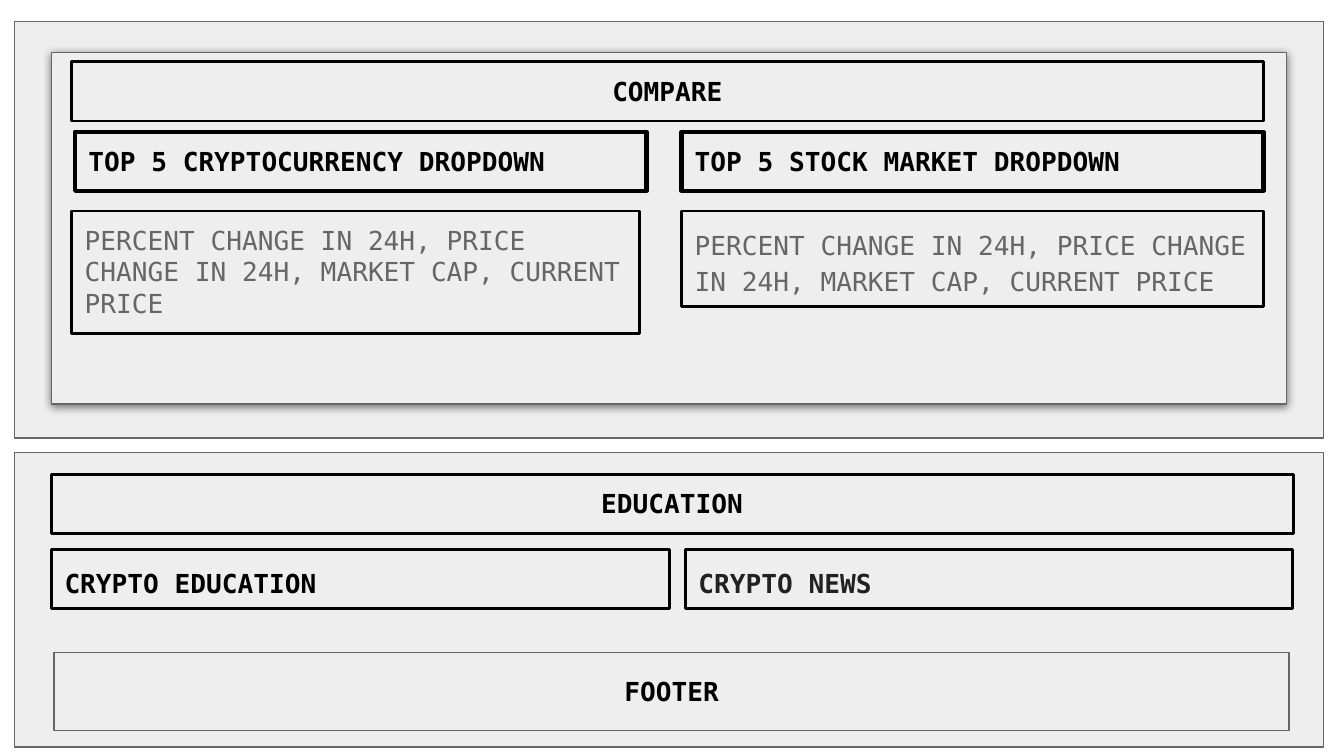
from typing import NamedTuple, Optional

from lxml import etree
from pptx import Presentation
from pptx import util as u
from pptx.dml.color import RGBColor
from pptx.enum import shapes, text
from pptx.oxml.ns import qn

BLACK = RGBColor(0x00, 0x00, 0x00)
DARK = RGBColor(0x21, 0x21, 0x21)
GREY = RGBColor(0x66, 0x66, 0x66)
PALE = RGBColor(0xEE, 0xEE, 0xEE)
FONT = "DejaVu Sans Mono"
ROW = 1.12  # height of a one-line box, cm
DETAIL = "PERCENT CHANGE IN 24H, PRICE CHANGE IN 24H, MARKET CAP, CURRENT PRICE"


class Area(NamedTuple):
    left: float
    top: float
    width: float
    height: float = ROW


class Label(NamedTuple):
    area: Area
    words: str
    line: float = 1.5
    color: RGBColor = BLACK
    bold: bool = True
    center: bool = False
    loose: bool = False


PANELS = [Area(0.28, 0.41, 24.74, 7.87), Area(0.28, 8.56, 24.74, 5.56)]
CARD = Area(0.97, 0.99, 23.34, 6.65)
FOOTER = Area(1.02, 12.34, 23.34, 1.47)

LEARN = [
    Label(Area(0.97, 10.39, 11.68), "CRYPTO EDUCATION", loose=True),
    Label(Area(0.97, 8.97, 23.47), "EDUCATION", center=True),
    Label(Area(12.95, 10.39, 11.48), "CRYPTO NEWS", color=DARK, loose=True),
]
COMPARE = [
    Label(Area(1.35, 1.17, 22.53), "COMPARE", center=True),
    Label(Area(1.42, 2.49, 10.8), "TOP 5 CRYPTOCURRENCY DROPDOWN", line=2.25),
    Label(Area(12.88, 2.49, 11), "TOP 5 STOCK MARKET DROPDOWN", line=2.25),
    Label(Area(1.35, 3.99, 10.74, 2.31), DETAIL, color=GREY, bold=False),
    Label(Area(12.88, 3.99, 11, 1.8), DETAIL, color=GREY, bold=False, loose=True),
]
CAPTION = Label(Area(9.19, 12.52, 7.01), "FOOTER", center=True)


def add_box(slide, area: Area, fill: Optional[RGBColor], line: RGBColor, width: float):
    box = slide.shapes.add_shape(shapes.MSO_SHAPE.RECTANGLE, *map(u.Cm, area))
    box.shadow.inherit = False
    if fill is None:
        box.fill.background()
    else:
        box.fill.solid()
        box.fill.fore_color.rgb = fill
    box.line.color.rgb = line
    box.line.width = u.Pt(width)
    return box


def add_shade(box) -> None:
    """Give the box a soft shadow straight below it."""
    effects = box.element.spPr.find(qn("a:effectLst"))
    shade = etree.SubElement(
        effects, qn("a:outerShdw"), blurRad=str(u.Pt(4.5)), dist=str(u.Pt(1.5)),
        dir="5400000", algn="bl", rotWithShape="0")
    color = etree.SubElement(shade, qn("a:srgbClr"), val=str(BLACK))
    etree.SubElement(color, qn("a:alpha"), val="53000")


def set_text(box, label: Label) -> None:
    frame = box.text_frame
    frame.text = label.words
    frame.word_wrap = True
    frame.auto_size = text.MSO_AUTO_SIZE.SHAPE_TO_FIT_TEXT
    frame.vertical_anchor = text.MSO_ANCHOR.TOP
    frame.margin_left = frame.margin_right = u.Cm(0.25)
    frame.margin_top = frame.margin_bottom = u.Cm(0.25)
    para = frame.paragraphs[0]
    para.alignment = text.PP_ALIGN.CENTER if label.center else text.PP_ALIGN.LEFT
    if label.loose:
        para.line_spacing = 1.15
        para.space_after = u.Pt(12)
    font = para.runs[0].font
    font.name = FONT
    font.size = u.Pt(14)
    font.bold = label.bold
    font.color.rgb = label.color


def add_labels(slide, labels: list[Label]) -> None:
    for label in labels:
        set_text(add_box(slide, label.area, None, BLACK, label.line), label)


def main() -> None:
    deck = Presentation()
    deck.slide_width, deck.slide_height = u.Cm(25.4), u.Cm(14.29)
    slide = deck.slides.add_slide(deck.slide_layouts[6])

    # Page sections
    for panel in PANELS:
        add_box(slide, panel, PALE, GREY, 0.75)

    # Education
    add_labels(slide, LEARN)

    # Comparison card
    add_shade(add_box(slide, CARD, PALE, GREY, 0.75))
    add_labels(slide, COMPARE)

    # Footer
    add_box(slide, FOOTER, PALE, GREY, 0.75)
    set_text(slide.shapes.add_textbox(*map(u.Cm, CAPTION.area)), CAPTION)

    deck.save("out.pptx")


if __name__ == "__main__":
    main()
